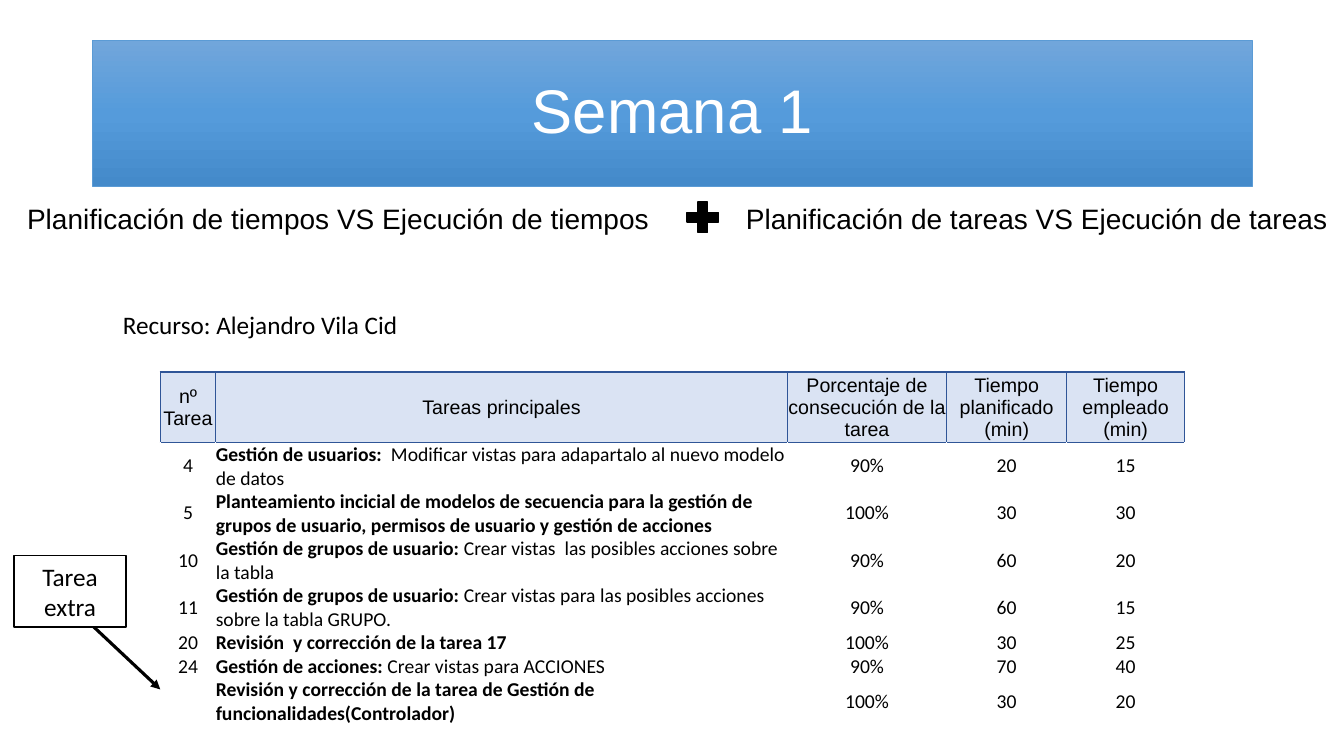
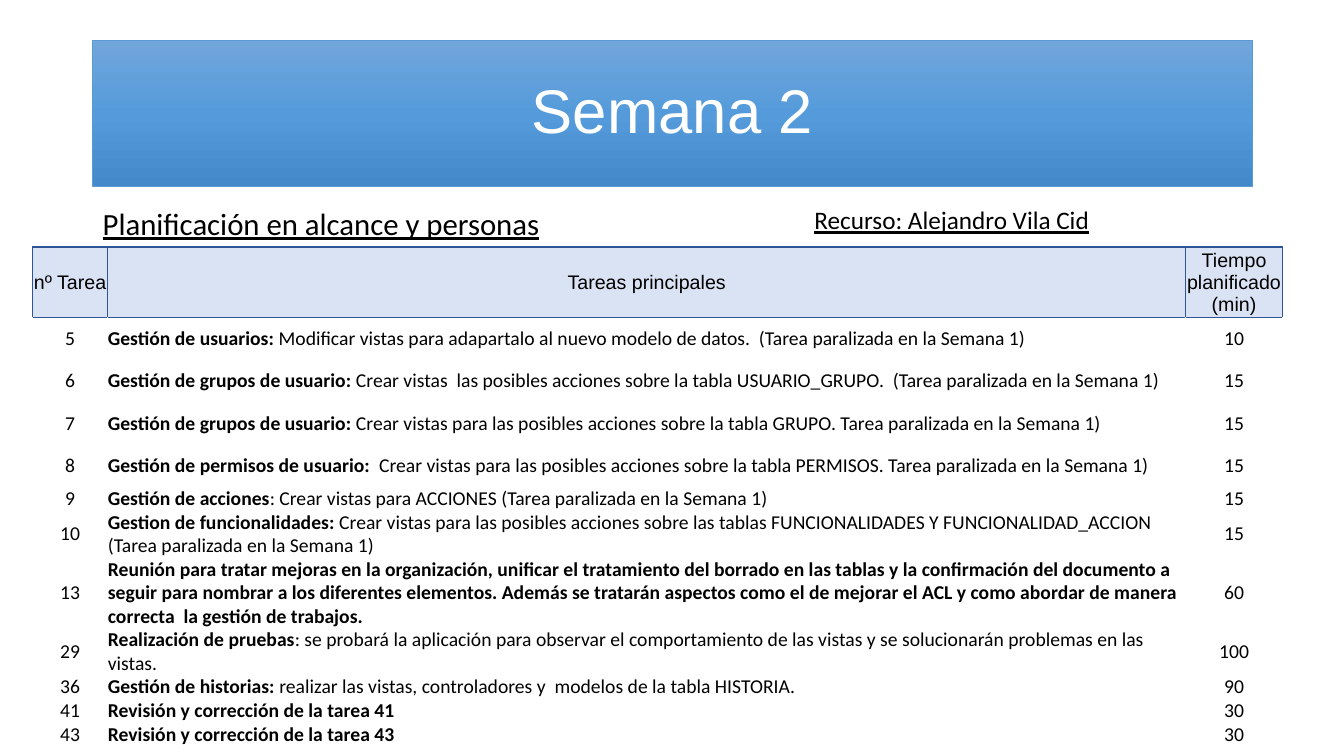
from copy import deepcopy
from lxml.etree import SubElement
from pptx import Presentation
from pptx.dml.color import RGBColor
from pptx.enum.dml import MSO_FILL
from pptx.enum.shapes import MSO_CONNECTOR, MSO_SHAPE
from pptx.enum.text import MSO_ANCHOR, MSO_AUTO_SIZE as AUTO, PP_ALIGN
from pptx.oxml.ns import qn
from pptx.util import Inches, Pt

BLACK = RGBColor(0, 0, 0)
WHITE = RGBColor(255, 255, 255)
BAND_LINE = RGBColor(0x5B, 0x9B, 0xD5)
BAND_STOPS = (
    (0, RGBColor(0x71, 0xA6, 0xDB)),
    (0.5, RGBColor(0x55, 0x9B, 0xDB)),
    (1, RGBColor(0x44, 0x8A, 0xCA)),
)
HEADER_FILL = RGBColor(0xDA, 0xE3, 0xF3)
HEADER_LINE = RGBColor(0x2F, 0x55, 0x97)
HEADING_FONT, BODY_FONT = "Arial", "Calibri"


class Deck:
    def __init__(self):
        self.prs = Presentation()
        self.prs.slide_width, self.prs.slide_height = Inches(13.33), Inches(7.5)
        self.slide = None

    def style(self, run, size, font, color=BLACK, bold=False, underline=False):
        run.font.size = Pt(size)
        run.font.name = font
        run.font.color.rgb = color
        run.font.bold = bold
        run.font.underline = underline

    def page(self, heading):
        self.slide = self.prs.slides.add_slide(self.prs.slide_layouts[5])
        title = self.slide.shapes.title
        title.left, title.top = Inches(0.92), Inches(0.4)
        title.width, title.height = Inches(11.5), Inches(1.45)
        title.fill.gradient()
        title.fill.gradient_angle = 270
        stops = title.element.find(".//" + qn("a:gsLst"))
        stops.insert(1, deepcopy(stops[0]))
        for stop, (position, color) in zip(title.fill.gradient_stops, BAND_STOPS):
            stop.position = position
            stop.color.rgb = color
        title.line.color.rgb = BAND_LINE
        title.line.width = Pt(0.5)
        frame = title.text_frame
        frame.text = heading
        frame.vertical_anchor = MSO_ANCHOR.MIDDLE
        line = frame.paragraphs[0]
        line.alignment = PP_ALIGN.CENTER
        line.line_spacing = 0.9
        self.style(line.runs[0], 44, HEADING_FONT, WHITE)

    def text(self, words, left, top, width, height, size, font=BODY_FONT, underline=False):
        box = self.slide.shapes.add_textbox(
            Inches(left), Inches(top), Inches(width), Inches(height))
        frame = box.text_frame
        frame.word_wrap = True
        frame.auto_size = AUTO.SHAPE_TO_FIT_TEXT
        frame.text = words
        self.style(frame.paragraphs[0].runs[0], size, font, underline=underline)

    def shape(self, kind, left, top, width, height, fill, words=""):
        item = self.slide.shapes.add_shape(
            kind, Inches(left), Inches(top), Inches(width), Inches(height))
        item.shadow.inherit = False
        item.fill.solid()
        item.fill.fore_color.rgb = fill
        item.line.color.rgb = BLACK
        item.line.width = Pt(1)
        if words:
            item.text_frame.text = words
            line = item.text_frame.paragraphs[0]
            line.alignment = PP_ALIGN.CENTER
            self.style(line.runs[0], 18, BODY_FONT)

    def arrow(self, x1, y1, x2, y2):
        pointer = self.slide.shapes.add_connector(
            MSO_CONNECTOR.STRAIGHT, Inches(x1), Inches(y1), Inches(x2), Inches(y2))
        pointer.line.color.rgb = BLACK
        pointer.line.width = Pt(2.25)
        SubElement(pointer.line._get_or_add_ln(), qn("a:tailEnd"), type="triangle")
        SubElement(pointer.element.spPr, qn("a:effectLst"))

    def borders(self, cell, sides):
        props = cell._tc.get_or_add_tcPr()
        for index, side in enumerate(sides):
            edge = SubElement(props, qn("a:ln" + side), w=str(Pt(1)))
            fill = SubElement(edge, qn("a:solidFill"))
            SubElement(fill, qn("a:srgbClr"), val=str(HEADER_LINE))
            props.remove(edge)
            props.insert(index, edge)

    def cell(self, cell, parts, font, centred):
        cell.margin_left = cell.margin_right = cell.margin_top = cell.margin_bottom = 0
        cell.vertical_anchor = MSO_ANCHOR.MIDDLE
        line = cell.text_frame.paragraphs[0]
        line.alignment = PP_ALIGN.CENTER if centred else PP_ALIGN.LEFT
        for words, bold in parts:
            if words:
                run = line.add_run()
                run.text = words
                self.style(run, 14, font, bold=bold)

    def table(self, left, top, widths, heights, header, tasks):
        grid = self.slide.shapes.add_table(
            len(heights), len(widths), Inches(left), Inches(top),
            Inches(sum(widths)), Inches(sum(heights))).table
        grid.first_row = grid.horz_banding = False
        for column, width in zip(grid.columns, widths):
            column.width = Inches(width)
        for row, height in zip(grid.rows, heights):
            row.height = Inches(height)
        for column, words in enumerate(header):
            cell = grid.cell(0, column)
            self.cell(cell, [(words, False)], HEADING_FONT, True)
            cell.fill.solid()
            cell.fill.fore_color.rgb = HEADER_FILL
            self.borders(cell, "LRTB")
        for row, (number, name, detail, *figures) in enumerate(tasks, 1):
            values = [[(number, False)], [(name, True), (detail, False)]]
            values += [[(figure, False)] for figure in figures]
            for column, parts in enumerate(values):
                cell = grid.cell(row, column)
                self.cell(cell, parts, BODY_FONT, column != 1)
                cell.fill.background()
                if row == 1:
                    self.borders(cell, "T")


RESOURCE = "Recurso: Alejandro Vila Cid"
NUMBER, TASKS, PLANNED = "nº Tarea", "Tareas principales", "Tiempo planificado (min)"
GROUPS = "Gestión de grupos de usuario:"
PAUSED = "Tarea paralizada en la Semana 1)"

WEEK_1 = [
    ("4", "Gestión de usuarios:",
     "  Modificar vistas para adapartalo al nuevo modelo de datos", "90%", "20", "15"),
    ("5", "Planteamiento incicial de modelos de secuencia para la gestión de grupos "
     "de usuario, permisos de usuario y gestión de acciones", "", "100%", "30", "30"),
    ("10", GROUPS, " Crear vistas  las posibles acciones sobre la tabla ",
     "90%", "60", "20"),
    ("11", GROUPS, " Crear vistas para las posibles acciones sobre la tabla GRUPO. ",
     "90%", "60", "15"),
    ("20", "Revisión  y corrección de la tarea 17", "", "100%", "30", "25"),
    ("24", "Gestión de acciones:", " Crear vistas para ACCIONES", "90%", "70", "40"),
    ("", "Revisión y corrección de la tarea de Gestión de funcionalidades(Controlador)",
     "", "100%", "30", "20"),
]
WEEK_2 = [
    ("5", "Gestión de usuarios: ",
     "Modificar vistas para adapartalo al nuevo modelo de datos.  (" + PAUSED, "10"),
    ("6", GROUPS, " Crear vistas  las posibles acciones sobre la tabla USUARIO_GRUPO.  ("
     + PAUSED, "15"),
    ("7", GROUPS, " Crear vistas para las posibles acciones sobre la tabla GRUPO. "
     + PAUSED, "15"),
    ("8", "Gestión de permisos de usuario:  ",
     "Crear vistas para las posibles acciones sobre la tabla PERMISOS. " + PAUSED, "15"),
    ("9", "Gestión de acciones", ": Crear vistas para ACCIONES (" + PAUSED, "15"),
    ("10", "Gestion de funcionalidades:",
     " Crear vistas para las posibles acciones sobre las tablas FUNCIONALIDADES Y "
     "FUNCIONALIDAD_ACCION (" + PAUSED, "15"),
    ("13", "Reunión para tratar mejoras en la organización, unificar el tratamiento del "
     "borrado en las tablas y la confirmación del documento a seguir para nombrar a los "
     "diferentes elementos. Además se tratarán aspectos como el de mejorar el ACL y como "
     "abordar de manera correcta  la gestión de trabajos.", "", "60"),
    ("29", "Realización de pruebas",
     ": se probará la aplicación para observar el comportamiento de las vistas y se "
     "solucionarán problemas en las vistas.", "100"),
    ("36", "Gestión de historias: ",
     "realizar las vistas, controladores y  modelos de la tabla HISTORIA.", "90"),
    ("41", "Revisión y corrección de la tarea 41 ", "", "30"),
    ("43", "Revisión y corrección de la tarea 43", "", "30"),
]

deck = Deck()

deck.page("Semana 1")
deck.text(RESOURCE, 1.12, 3.02, 3.67, 0.4, 18)
deck.table(1.59, 3.69, [0.55, 5.67, 1.58, 1.19, 1.17],
           [0.68, 0.2, 0.2, 0.2, 0.21, 0.1, 0.2, 0.2],
           [NUMBER, TASKS, "Porcentaje de consecución de la tarea", PLANNED,
            "Tiempo empleado (min)"], WEEK_1)
deck.arrow(0.92, 6.21, 1.59, 6.84)
deck.shape(MSO_SHAPE.RECTANGLE, 0.14, 5.51, 1.11, 0.71, WHITE, "Tarea extra")
deck.text("Planificación de tareas VS Ejecución de tareas",
          7.3, 1.95, 6.04, 0.44, 20, HEADING_FONT)
deck.text("Planificación de tiempos VS Ejecución de tiempos",
          0.17, 1.95, 6.47, 0.44, 20, HEADING_FONT)
deck.shape(MSO_SHAPE.MATH_PLUS, 6.76, 1.95, 0.42, 0.41, BLACK)

deck.page("Semana 2")
deck.text("Planificación en alcance y personas", 0.92, 1.98, 4.57, 0.47, 22, underline=True)
deck.text(RESOURCE, 7.98, 1.98, 3.67, 0.4, 18, underline=True)
deck.table(0.32, 2.45, [0.75, 10.69, 0.96],
           [0.42] * 5 + [0.21, 0.42, 0.63, 0.42] + [0.21] * 3,
           [NUMBER, TASKS, PLANNED], WEEK_2)

deck.prs.save("out.pptx")
